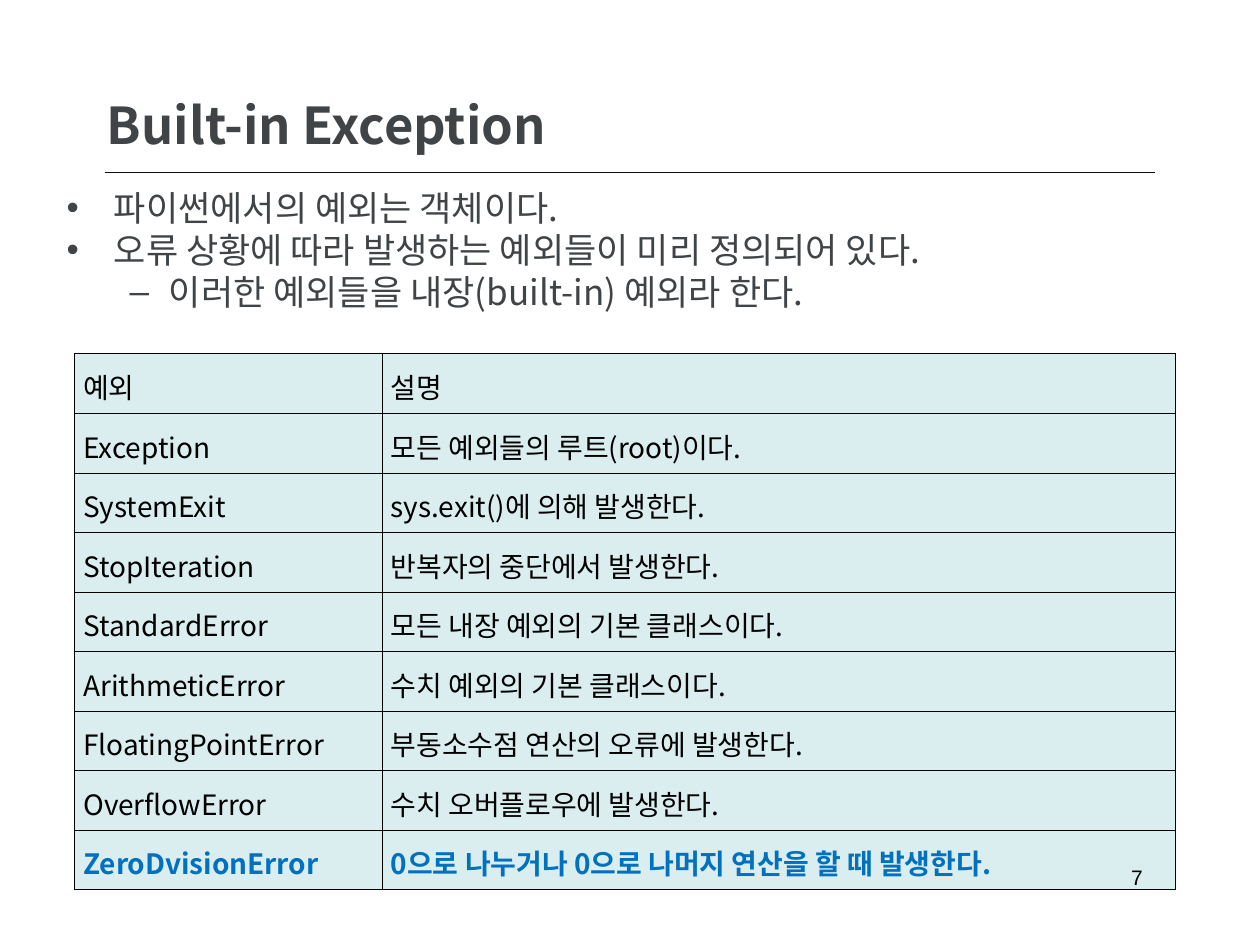
from pptx import Presentation
from pptx.dml.color import RGBColor as RGB
from pptx.enum.shapes import MSO_CONNECTOR as CONN
from pptx.enum.text import MSO_ANCHOR as ANCHOR, MSO_AUTO_SIZE as AUTO, PP_ALIGN as ALIGN
from pptx.oxml.ns import qn
from pptx.util import Cm, Pt
from lxml.etree import SubElement

# Content
TITLE = "Built-in Exception"
BULLETS = [
    (0, "파이썬에서의 예외는 객체이다."),
    (0, "오류 상황에 따라 발생하는 예외들이 미리 정의되어 있다."),
    (1, "이러한 예외들을 내장(built-in) 예외라 한다."),
]
EXCEPTIONS = [
    ("예외", "설명"),
    ("Exception", "모든 예외들의 루트(root)이다."),
    ("SystemExit", "sys.exit()에 의해 발생한다."),
    ("StopIteration", "반복자의 중단에서 발생한다."),
    ("StandardError", "모든 내장 예외의 기본 클래스이다."),
    ("ArithmeticError", "수치 예외의 기본 클래스이다."),
    ("FloatingPointError", "부동소수점 연산의 오류에 발생한다."),
    ("OverflowError", "수치 오버플로우에 발생한다."),
    ("ZeroDvisionError", "0으로 나누거나 0으로 나머지 연산을 할 때 발생한다."),
]
HIGHLIGHT = "ZeroDvisionError"
PAGE = "7"

THEME = {
    "font": "Noto Sans CJK KR", "page_font": "Arial",
    "text": "404447", "black": "000000", "rule": "0D0D0D",
    "accent": "0070C0", "cell": "DAEDEF",
    "title": 29, "body": 20, "table": 16, "page": 12,
}
# Bullet character, left margin and hanging indent in cm, by level
LEVELS = [("•", 0.95, 0.95), ("–", 2.06, 0.79)]
COLUMNS = [6.2, 16]
ROW_HEIGHT = 1.2


def style(p, size, color, font="font", bold=False):
    for r in p.runs:
        r.font.size = Pt(THEME[size])
        r.font.bold = bold
        r.font.name = THEME[font]
        r.font.color.rgb = RGB.from_string(THEME[color])
        SubElement(r._r.rPr, qn("a:ea"), typeface=THEME[font])


def place(sp, left, top, width, height, anchor):
    sp.left, sp.top, sp.width, sp.height = map(Cm, (left, top, width, height))
    tf = sp.text_frame
    tf.word_wrap = True
    tf.auto_size = AUTO.NONE
    tf.vertical_anchor = anchor
    return tf


def set_bullet(p, char, margin, hang):
    pPr = p._p.get_or_add_pPr()
    pPr.set("marL", str(Cm(margin)))
    pPr.set("indent", str(-Cm(hang)))
    SubElement(pPr, qn("a:buFont"), typeface=THEME["page_font"])
    SubElement(pPr, qn("a:buChar"), char=char)


def set_borders(cell):
    tcPr = cell._tc.get_or_add_tcPr()
    for i, side in enumerate(("lnL", "lnR", "lnT", "lnB")):
        ln = SubElement(tcPr, qn(f"a:{side}"), w=str(Pt(0.28)))
        fill = SubElement(ln, qn("a:solidFill"))
        SubElement(fill, qn("a:srgbClr"), val=THEME["black"])
        tcPr.insert(i, ln)


prs = Presentation()
prs.slide_width, prs.slide_height = Cm(25.4), Cm(19.05)
s = prs.slides.add_slide(prs.slide_layouts[1])

# Rule under the title
rule = s.shapes.add_connector(CONN.STRAIGHT, Cm(2.11), Cm(3.48), Cm(23.29), Cm(3.48))
rule.line.color.rgb = RGB.from_string(THEME["rule"])
rule.line.width = Pt(1)
SubElement(rule._element.spPr, qn("a:effectLst"))

# Title
tf = place(s.shapes.title, 1.9, 1.73, 21.41, 1.55, ANCHOR.MIDDLE)
tf.text = TITLE
tf.paragraphs[0].alignment = ALIGN.LEFT
style(tf.paragraphs[0], "title", "text", bold=True)

# Bullets
tf = place(s.placeholders[1], 1.09, 3.76, 22.86, 3.81, ANCHOR.TOP)
tf.text = "\n".join(text for _, text in BULLETS)
for p, (level, _) in zip(tf.paragraphs, BULLETS):
    p.level = level
    p.line_spacing = 0.85
    p.space_before = Pt(3.5)
    set_bullet(p, *LEVELS[level])
    style(p, "body", "text")

# Exception table
table = s.shapes.add_table(
    len(EXCEPTIONS), len(COLUMNS), Cm(1.5), Cm(7.13),
    Cm(sum(COLUMNS)), Cm(ROW_HEIGHT * len(EXCEPTIONS))).table
for column, width in zip(table.columns, COLUMNS):
    column.width = Cm(width)
for i, row in enumerate(EXCEPTIONS):
    table.rows[i].height = Cm(ROW_HEIGHT)
    marked = row[0] == HIGHLIGHT
    for j, text in enumerate(row):
        cell = table.cell(i, j)
        cell.text_frame.text = text
        cell.vertical_anchor = ANCHOR.MIDDLE
        cell.margin_left = cell.margin_right = Cm(0.18)
        cell.margin_top = cell.margin_bottom = Cm(0.05)
        cell.fill.solid()
        cell.fill.fore_color.rgb = RGB.from_string(THEME["cell"])
        set_borders(cell)
        p = cell.text_frame.paragraphs[0]
        p.alignment = ALIGN.JUSTIFY
        p.line_spacing = 1.15
        p.space_after = Pt(20)
        style(p, "table", "accent" if marked else "black", bold=marked)

# Page number
tf = place(s.shapes.add_textbox(0, 0, 0, 0), 17.5, 17.32, 5.79, 0.71, ANCHOR.MIDDLE)
tf.text = PAGE
tf.paragraphs[0].alignment = ALIGN.RIGHT
style(tf.paragraphs[0], "page", "black", font="page_font")

prs.save("out.pptx")
